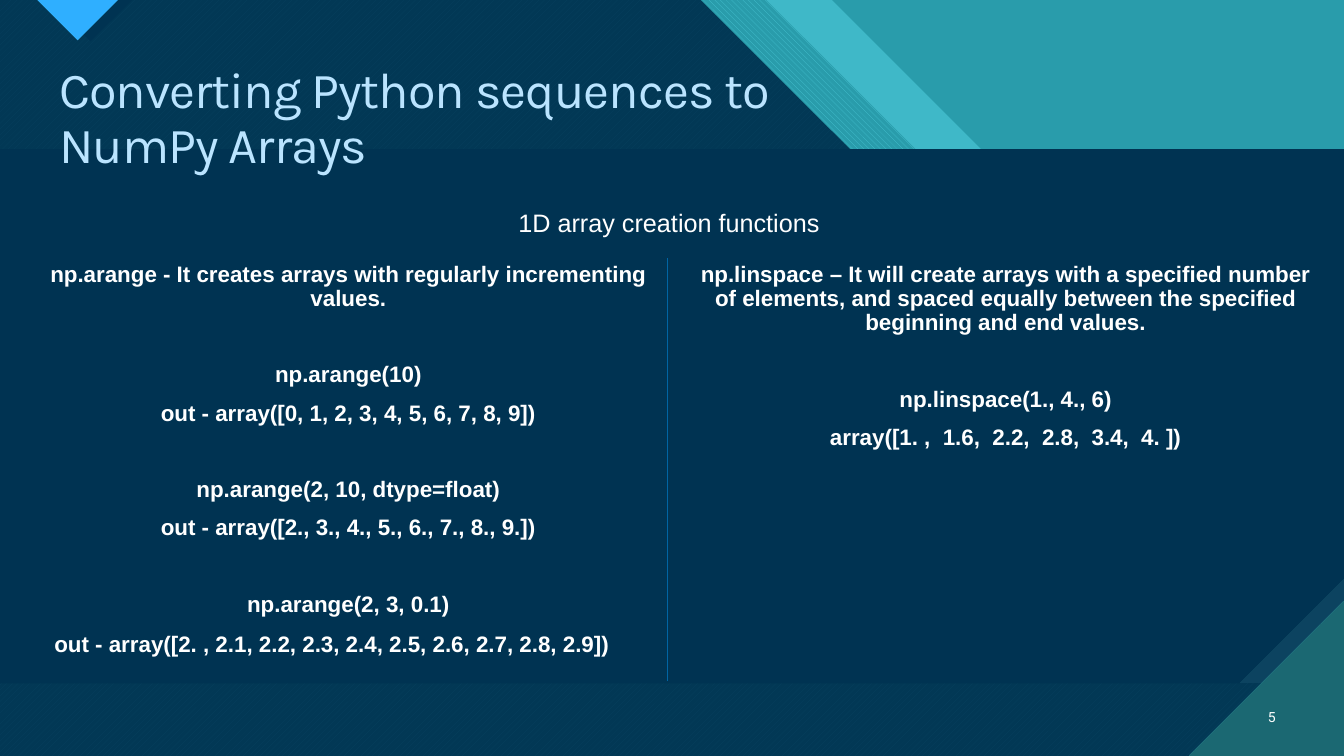
"""Build a slide on creating one-dimensional NumPy arrays."""
from dataclasses import dataclass
from typing import Optional

from pptx import Presentation
from pptx.dml.color import RGBColor
from pptx.enum.dml import MSO_PATTERN
from pptx.enum.shapes import MSO_CONNECTOR
from pptx.enum.text import MSO_ANCHOR, PP_ALIGN
from pptx.oxml.ns import qn
from pptx.oxml.xmlchemy import OxmlElement
from pptx.slide import Slide
from pptx.util import Inches, Pt

DOWN_DIAGONAL = MSO_PATTERN.WIDE_DOWNWARD_DIAGONAL
UP_DIAGONAL = MSO_PATTERN.WIDE_UPWARD_DIAGONAL
DARK_HORIZONTAL = MSO_PATTERN.DARK_HORIZONTAL
DARK_VERTICAL = MSO_PATTERN.DARK_VERTICAL
STRAIGHT = MSO_CONNECTOR.STRAIGHT
LEFT, CENTER, RIGHT = PP_ALIGN.LEFT, PP_ALIGN.CENTER, PP_ALIGN.RIGHT
TOP, MIDDLE = MSO_ANCHOR.TOP, MSO_ANCHOR.MIDDLE

NAVY = RGBColor(0x00, 0x33, 0x52)
SLATE = RGBColor(0x0C, 0x43, 0x60)
TEAL = RGBColor(0x29, 0x9C, 0xAB)
AQUA = RGBColor(0x47, 0xC3, 0xD3)
DEEP_TEAL = RGBColor(0x1B, 0x68, 0x72)
BRIGHT_BLUE = RGBColor(0x2F, 0xAF, 0xFF)
PALE_BLUE = RGBColor(0xBA, 0xE4, 0xFF)
RULE_BLUE = RGBColor(0x00, 0x65, 0xA4)
WHITE = RGBColor(0xFF, 0xFF, 0xFF)

W, H = 13.33, 7.5
PANEL_TOP, PANEL_BOTTOM, SNIP = 1.48, 6.78, 1.04
CORNER = 1.54
COLUMN_TOP, COLUMN_W, COLUMN_H = 2.56, 6.33, 4.2
DIVIDER_X = 6.62
LINE_GAP, GROUP_GAP = 10, 37.4


@dataclass(frozen=True)
class Panel:
    points: list[tuple[float, float]]
    color: RGBColor
    pattern: Optional[MSO_PATTERN] = None
    back: RGBColor = DEEP_TEAL
    opacity: int = 100


@dataclass(frozen=True)
class Line:
    text: str
    before: float = LINE_GAP
    align: PP_ALIGN = CENTER
    indent: float = 0


@dataclass(frozen=True)
class Column:
    left: float
    lines: list[Line]


def slanted(top_x: float, bend: float, right_x: float, right_y: float) -> list[tuple[float, float]]:
    """Outline a full-height area whose right edge steps down diagonally."""
    return [(0, 0), (top_x, 0), (top_x + bend, bend), (right_x, bend),
            (W, right_y), (W, H), (0, H)]


DARK_AREA = slanted(6.95, 2.97, 11.18, 5.12)

PANELS = [
    Panel(slanted(8.25, 2.97, 12.34, 3.96), AQUA, opacity=74),
    Panel(slanted(7.6, 2.97, 11.84, 4.47), AQUA, DOWN_DIAGONAL, TEAL),
    Panel(DARK_AREA, AQUA, UP_DIAGONAL),
    Panel(DARK_AREA, NAVY, opacity=90),
    Panel([(0.48, 0), (1.31, 0), (0.9, 0.41)], NAVY),
    Panel([(0.37, 0), (1.17, 0), (0.77, 0.4)], BRIGHT_BLUE, DARK_HORIZONTAL),
    Panel([(W, PANEL_BOTTOM - SNIP), (W, PANEL_BOTTOM), (W - SNIP, PANEL_BOTTOM)],
          SLATE, DARK_VERTICAL),
    Panel([(0, PANEL_TOP), (W, PANEL_TOP), (W, PANEL_BOTTOM - SNIP),
           (W - SNIP, PANEL_BOTTOM), (0, PANEL_BOTTOM)], NAVY),
    Panel([(W - CORNER, H), (W, H), (W, H - CORNER)], DEEP_TEAL, DARK_HORIZONTAL, AQUA),
]

COLUMNS = [
    Column(0.29, [
        Line("np.arange - It creates arrays with regularly incrementing values."),
        Line("np.arange(10)", GROUP_GAP),
        Line("out - array([0, 1, 2, 3, 4, 5, 6, 7, 8, 9])"),
        Line("np.arange(2, 10, dtype=float)", GROUP_GAP),
        Line("out - array([2., 3., 4., 5., 6., 7., 8., 9.])"),
        Line("np.arange(2, 3, 0.1)", GROUP_GAP),
        Line("out - array([2. , 2.1, 2.2, 2.3, 2.4, 2.5, 2.6, 2.7, 2.8, 2.9])",
             11.2, LEFT, 0.15),
    ]),
    Column(6.81, [
        Line("np.linspace – It will create arrays with a specified number of elements, "
             "and spaced equally between the specified beginning and end values."),
        Line("np.linspace(1., 4., 6)", GROUP_GAP),
        Line("array([1. ,  1.6,  2.2,  2.8,  3.4,  4. ])"),
    ]),
]


def add_panel(slide: Slide, panel: Panel) -> None:
    """Draw one filled outline of the backdrop."""
    points = [(Inches(x), Inches(y)) for x, y in panel.points]
    builder = slide.shapes.build_freeform(*points[0])
    builder.add_line_segments(points[1:])
    sp = builder.convert_to_shape()
    sp.shadow.inherit = False
    sp.line.fill.background()
    if panel.pattern is not None:
        sp.fill.patterned()
        sp.fill.pattern = panel.pattern
        sp.fill.fore_color.rgb = panel.color
        sp.fill.back_color.rgb = panel.back
        return
    sp.fill.solid()
    sp.fill.fore_color.rgb = panel.color
    if panel.opacity < 100:
        alpha = OxmlElement("a:alpha")
        alpha.set("val", str(panel.opacity * 1000))
        sp._element.spPr.find(qn("a:solidFill"))[0].append(alpha)


def add_text(slide: Slide, lines: list[Line], left: float, top: float, width: float,
             height: float, *, size: float, font: str = "Arial", color: RGBColor = WHITE,
             bold: bool = False, spacing: float = 1, tracking: int = 0,
             anchor: MSO_ANCHOR = TOP) -> None:
    """Write formatted paragraphs in a wrapping text box."""
    sp = slide.shapes.add_textbox(Inches(left), Inches(top), Inches(width), Inches(height))
    tf = sp.text_frame
    tf.word_wrap = True
    tf.vertical_anchor = anchor
    for i, line in enumerate(lines):
        p = tf.paragraphs[0] if i == 0 else tf.add_paragraph()
        p.text = line.text
        p.alignment = line.align
        p.line_spacing = spacing
        p.space_before = Pt(line.before if i else 0)
        if line.indent:
            p._p.get_or_add_pPr().set("marL", str(Inches(line.indent)))
        for r in p.runs:
            r.font.name = font
            r.font.size = Pt(size)
            r.font.bold = bold
            r.font.color.rgb = color
            if tracking:
                r._r.get_or_add_rPr().set("spc", str(tracking))


def add_divider(slide: Slide) -> None:
    """Draw the thin rule between the two columns."""
    x = Inches(DIVIDER_X)
    line = slide.shapes.add_connector(STRAIGHT, x, Inches(COLUMN_TOP),
                                      x, Inches(COLUMN_TOP + COLUMN_H))
    line.line.color.rgb = RULE_BLUE
    line.line.width = Pt(0.5)
    line._element.spPr.append(OxmlElement("a:effectLst"))


def main() -> None:
    """Assemble and save the slide."""
    prs = Presentation()
    prs.slide_width, prs.slide_height = Inches(W), Inches(H)
    slide = prs.slides.add_slide(prs.slide_layouts[6])
    slide.background.fill.solid()
    slide.background.fill.fore_color.rgb = TEAL
    for panel in PANELS:
        add_panel(slide, panel)
    add_text(slide, [Line("Converting Python sequences to\vNumPy Arrays", align=LEFT)],
             0.49, 0.6, 12.26, 1.19, size=36, font="Karla", color=PALE_BLUE,
             spacing=0.9, tracking=-70)
    add_text(slide, [Line("5", align=RIGHT)], 12.31, 6.91, 0.44, 0.4,
             size=10, font="Roboto", anchor=MIDDLE)
    for column in COLUMNS:
        add_text(slide, column.lines, column.left, COLUMN_TOP, COLUMN_W, COLUMN_H,
                 size=16, bold=True, spacing=0.9)
    add_divider(slide)
    add_text(slide, [Line("1D array creation functions")], 4.99, 2.01, 3.29, 0.4, size=18)
    prs.save("out.pptx")


if __name__ == "__main__":
    main()
